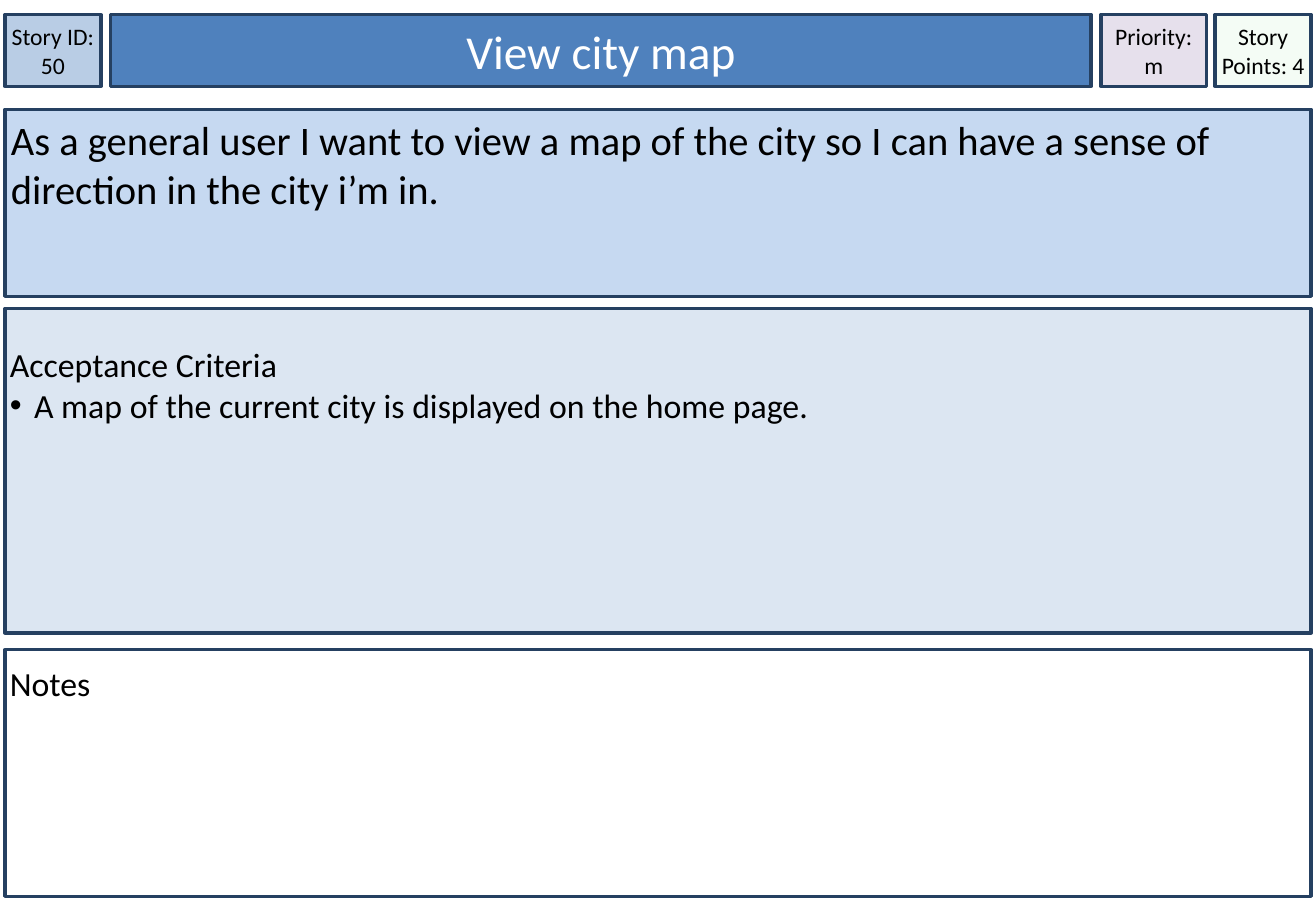
import pptx
import pptx.util
import pptx.dml.color
import pptx.enum.shapes
import pptx.enum.text
import pptx.oxml
import pptx.oxml.ns

Inches = pptx.util.Inches
Pt = pptx.util.Pt
ALIGN = pptx.enum.text.PP_ALIGN
ANCHOR = pptx.enum.text.MSO_ANCHOR

MARGIN = 0.04
CARD_WIDTH = 10.75
HEADER_TOP = 0.12
HEADER_HEIGHT = 0.59
BORDER = "254061"


def color(value):
    return pptx.dml.color.RGBColor.from_string(value)


def add_rectangle(slide):
    return slide.shapes.add_shape(pptx.enum.shapes.MSO_SHAPE.RECTANGLE, 0, 0, 0, 0)


def style_panel(shape, left, top, width, height, fill):
    shape.left, shape.top = Inches(left), Inches(top)
    shape.width, shape.height = Inches(width), Inches(height)
    shape.shadow.inherit = False
    shape.fill.solid()
    shape.fill.fore_color.rgb = color(fill)
    shape.line.color.rgb = color(BORDER)
    shape.line.width = Pt(2)


def write_text(shape, lines, size, align, anchor, inset, top_inset, font_color="000000"):
    frame = shape.text_frame
    frame.word_wrap = True
    frame.auto_size = pptx.enum.text.MSO_AUTO_SIZE.NONE
    frame.vertical_anchor = anchor
    frame.margin_left = frame.margin_right = frame.margin_bottom = Inches(inset)
    frame.margin_top = Inches(top_inset)
    frame.text = "\n".join(lines)
    for paragraph in frame.paragraphs:
        paragraph.alignment = align
        paragraph.space_before = Pt(0)
        paragraph.font.name = "Calibri"
        paragraph.font.size = Pt(size)
        paragraph.font.color.rgb = color(font_color)


def write_header(shape, left, width, fill, lines, size=14, font_color="000000"):
    style_panel(shape, left, HEADER_TOP, width, HEADER_HEIGHT, fill)
    write_text(shape, lines, size, ALIGN.CENTER, ANCHOR.MIDDLE, 0, 0, font_color)


def write_card(shape, top, height, fill, lines, size, inset, top_inset):
    style_panel(shape, MARGIN, top, CARD_WIDTH, height, fill)
    write_text(shape, lines, size, ALIGN.LEFT, ANCHOR.TOP, inset, top_inset)


def set_bullet(paragraph, character=None, indent=0):
    properties = paragraph._p.get_or_add_pPr()
    properties.set("marL", str(Inches(indent)))
    properties.set("indent", str(-Inches(indent)))
    tag = "a:buChar" if character else "a:buNone"
    bullet = pptx.oxml.parse_xml(f"<{tag} {pptx.oxml.ns.nsdecls('a')}/>")
    if character:
        bullet.set("char", character)
    properties.insert_element_before(bullet, "a:tabLst", "a:defRPr", "a:extLst")


def set_opacity(shape, percent):
    fill_color = shape._element.spPr.find(".//" + pptx.oxml.ns.qn("a:srgbClr"))
    alpha = pptx.oxml.parse_xml(f"<a:alpha {pptx.oxml.ns.nsdecls('a')}/>")
    alpha.set("val", str(percent * 1000))
    fill_color.append(alpha)


def main():
    presentation = pptx.Presentation()
    presentation.slide_width = Inches(10.83)
    presentation.slide_height = Inches(7.5)
    slide = presentation.slides.add_slide(presentation.slide_layouts[1])

    write_header(add_rectangle(slide), MARGIN, 0.79, "B9CDE5", ["Story ID: 50"])
    write_header(slide.shapes.title, 0.91, 8.07, "4F81BD", ["View city map"], 28, "FFFFFF")
    write_header(add_rectangle(slide), 9.06, 0.87, "E6E0EC", ["Priority:", "m"])
    story_points = add_rectangle(slide)
    write_header(story_points, 10, 0.79, "CCF0CD", ["Story Points: 4"])
    set_opacity(story_points, 20)

    story = "As a general user I want to view a map of the city so I can have a sense of direction in the city i’m in."
    write_card(add_rectangle(slide), 0.9, 1.54, "C6D9F1", [story], 24, 0.05, 0.05)

    criteria = slide.placeholders[1]
    criteria_lines = ["Acceptance Criteria", "A map of the current city is displayed on the home page."]
    write_card(criteria, 2.54, 2.67, "DCE6F2", criteria_lines, 20, 0.04, 0.29)
    heading, criterion = criteria.text_frame.paragraphs
    set_bullet(heading)
    set_bullet(criterion, "•", 0.2)

    write_card(add_rectangle(slide), 5.35, 2.03, "FFFFFF", ["Notes"], 20, 0.04, 0.11)
    presentation.save("out.pptx")


main()
